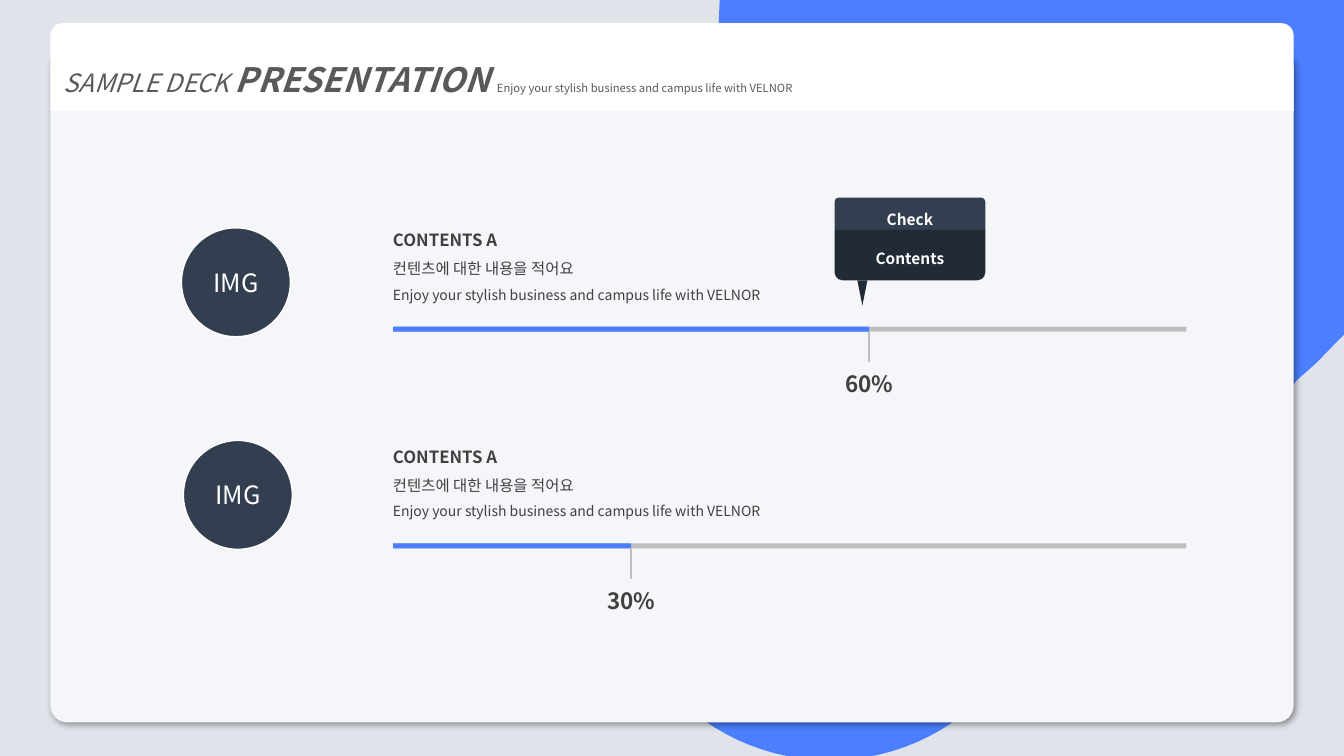
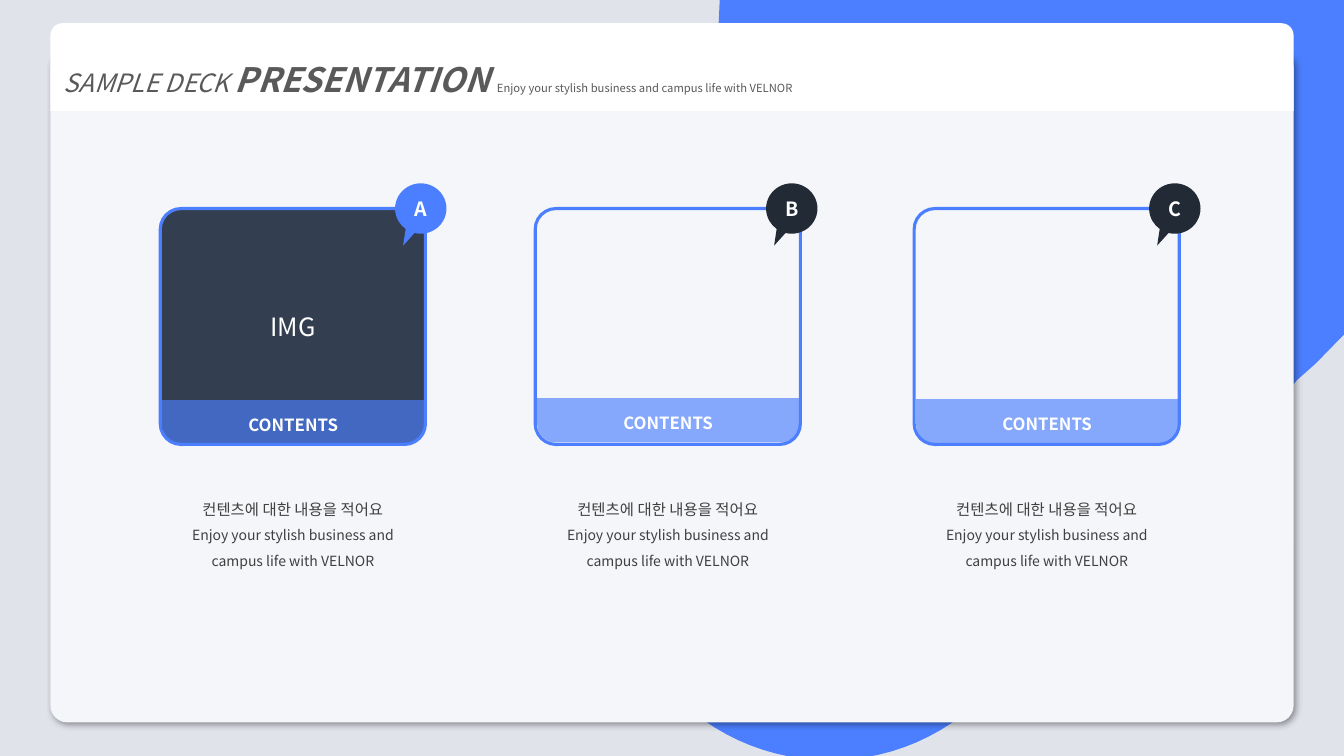
from lxml import etree
from pptx import Presentation
from pptx.dml.color import RGBColor
from pptx.enum import shapes, text
from pptx.oxml.ns import qn
from pptx.util import Pt

FONT = "Noto Sans CJK KR"
NO_TABLE_STYLE = "{2D5ABB26-0587-4C30-8999-92F81FD0307C}"
SLOGAN = "Enjoy your stylish business and campus life with VELNOR"
DESCRIPTION = "컨텐츠에 대한 내용을 적어요"
KIND = shapes.MSO_SHAPE

COLOURS = {
    "background": "E1E3EB",
    "accent": "4B7FFF",
    "panel": "F5F6F9",
    "white": "FFFFFF",
    "title": "595959",
    "body": "404040",
    "track": "BFBFBF",
    "navy": "333F50",
    "ink": "222A35",
    "shadow": "000000",
}

# Text styles: colour name and font attributes
STYLES = {
    "title": ("title", {"size": Pt(18), "italic": True}),
    "title strong": ("title", {"size": Pt(24), "italic": True, "bold": True}),
    "title note": ("title", {"size": Pt(8)}),
    "heading": ("body", {"size": Pt(12), "bold": True}),
    "body": ("body", {"size": Pt(11)}),
    "small": ("body", {"size": Pt(10)}),
    "percent": ("body", {"size": Pt(16), "bold": True}),
    "image": ("white", {"size": Pt(18)}),
    "bubble": ("white", {"size": Pt(11), "bold": True}),
    "strip": ("white", {"size": Pt(12), "bold": True}),
    "badge": ("white", {"size": Pt(14), "bold": True}),
}

# Backdrop outline: a pair is a corner, three pairs are a cubic curve
BACKDROP = [
    (960, 0), (960, 239), (939.6, 259.9), (926.6, 271.4), (923, 275.8),
    ((920.2, 280.1), (916.6, 284), (912.2, 288)),
    (702.7, 497.5),
    ((645.8, 554.4), (555.8, 558), (494.6, 508.3)),
    (482.4, 497.5), (471.6, 486),
    ((421.9, 424.8), (425.5, 334.1), (482.4, 277.2)),
    (591.1, 169.2), (566.6, 144.7),
    ((531.4, 108.7), (513.4, 61.9), (513.4, 15.8)),
    (514.1, 0),
]


def rgb(colour):
    """Return the named colour."""
    return RGBColor.from_string(COLOURS[colour])


def points(box):
    """Turn a box given in points into lengths."""
    return [Pt(value) for value in box]


def child(parent, tag, **attributes):
    """Append an XML element and return it."""
    return etree.SubElement(parent, qn(tag), attributes)


def paint(shape, fill=None, line=None, width=1, alpha=None):
    """Set the fill and line of a shape and remove its shadow."""
    shape.shadow.inherit = False
    if fill:
        shape.fill.solid()
        shape.fill.fore_color.rgb = rgb(fill)
    else:
        shape.fill.background()
    if alpha:
        solid = shape._element.spPr.find(qn("a:solidFill"))
        child(solid[0], "a:alpha", val=str(alpha * 1000))
    if line:
        shape.line.color.rgb = rgb(line)
        shape.line.width = Pt(width)
    else:
        shape.line.fill.background()


def write(frame, paragraphs, align="CENTER", spacing=None):
    """Write paragraphs, each a list of (text, style) runs."""
    frame.word_wrap = True
    for index, runs in enumerate(paragraphs):
        paragraph = frame.add_paragraph() if index else frame.paragraphs[0]
        paragraph.alignment = getattr(text.PP_ALIGN, align)
        paragraph.line_spacing = spacing
        for words, style in runs:
            run = paragraph.add_run()
            run.text = words
            colour, attributes = STYLES[style]
            run.font.name = FONT
            run.font.color.rgb = rgb(colour)
            for name, value in attributes.items():
                setattr(run.font, name, value)
            child(run._r.get_or_add_rPr(), "a:ea", typeface=FONT)


def add_block(canvas, kind, box, adjust=(), label=None, spacing=None, **look):
    """Add a preset shape with an optional centred (text, style) label."""
    shape = canvas.add_shape(kind, *points(box))
    for index, value in enumerate(adjust):
        shape.adjustments[index] = value
    paint(shape, **look)
    if label:
        shape.text_frame.vertical_anchor = text.MSO_ANCHOR.MIDDLE
        write(shape.text_frame, [[label]], spacing=spacing)
    return shape


def add_text(canvas, box, lines, align):
    """Add a text box with one (text, style) run per paragraph."""
    frame = canvas.add_textbox(*points(box)).text_frame
    write(frame, [[line] for line in lines], align, 1.5)
    frame.auto_size = text.MSO_AUTO_SIZE.SHAPE_TO_FIT_TEXT


def add_backdrop(canvas):
    """Draw the curved accent area behind the panel."""
    outline = []
    for step in BACKDROP:
        if len(step) == 2:
            outline.append(step)
            continue
        curve = (outline[-1], *step)
        for part in range(1, 25):
            t = part / 24
            weights = ((1 - t) ** 3, 3 * t * (1 - t) ** 2,
                       3 * t * t * (1 - t), t ** 3)
            outline.append(tuple(
                sum(weight * spot[axis] for weight, spot in zip(weights, curve))
                for axis in (0, 1)))
    corners = [points(spot) for spot in outline]
    builder = canvas.build_freeform(*corners[0], scale=1.0)
    builder.add_line_segments(corners[1:], close=True)
    paint(builder.convert_to_shape(), "accent")


def add_panel(canvas):
    """Add the shadowed panel and its title band."""
    panel = add_block(canvas, KIND.ROUNDED_RECTANGLE, (36, 36, 888, 480),
                      (0.025,), fill="panel")
    effects = panel._element.spPr.find(qn("a:effectLst"))
    shadow = child(effects, "a:outerShdw", blurRad=str(Pt(4)), dist=str(Pt(3)),
                   dir="2700000", algn="tl", rotWithShape="0")
    tone = child(shadow, "a:srgbClr", val=COLOURS["shadow"])
    child(tone, "a:alpha", val="40000")

    band = add_block(canvas, KIND.ROUND_2_SAME_RECTANGLE, (36, 16.6, 888, 62.6),
                     (0.137, 0), fill="white")
    band.text_frame.vertical_anchor = text.MSO_ANCHOR.MIDDLE
    write(band.text_frame, [[("SAMPLE DECK ", "title"),
                             ("PRESENTATION ", "title strong"),
                             (SLOGAN, "title note")]], "LEFT", 1.5)


def add_slide(presentation):
    """Add a blank slide with the shared frame and return its shapes."""
    slide = presentation.slides.add_slide(presentation.slide_layouts[6])
    slide.background.fill.solid()
    slide.background.fill.fore_color.rgb = rgb("background")
    add_backdrop(slide.shapes)
    add_panel(slide.shapes)
    return slide.shapes


def add_border(cell, side):
    """Draw one border of a table cell."""
    line = etree.Element(qn(side), w=str(Pt(1.5)))
    child(child(line, "a:solidFill"), "a:srgbClr", val=COLOURS["track"])
    cell._tc.get_or_add_tcPr().insert(0, line)


def add_marker(canvas, centre, top, percent):
    """Add a table with a tick line above a percentage."""
    width = 49
    table = canvas.add_table(
        2, 2, *points((centre - width / 2, top, width, 51.1))).table
    table._tbl.tblPr.find(qn("a:tableStyleId")).text = NO_TABLE_STYLE
    table.first_row = table.horz_banding = False
    for row, height in zip(table.rows, (21.6, 29.5)):
        row.height = Pt(height)
    for cell in table.iter_cells():
        cell.fill.background()
        cell.margin_left = cell.margin_right = 0
    for cell, side in zip(table.rows[0].cells, ("a:lnR", "a:lnL")):
        child(cell.text_frame.paragraphs[0]._p, "a:endParaRPr", sz="800")
        add_border(cell, side)
    result = table.cell(1, 0)
    result.merge(table.cell(1, 1))
    result.vertical_anchor = text.MSO_ANCHOR.MIDDLE
    write(result.text_frame, [[(f"{percent}%", "percent")]])


def add_progress(canvas, top, percent, image_left, image_top):
    """Add an image disc, a text and a progress bar with its marker."""
    left, width, height = 280.8, 566.6, 3.6
    done = width * percent / 100
    for length, colour in ((width, "track"), (done, "accent")):
        add_block(canvas, KIND.RECTANGLE, (left, top, length, height),
                  fill=colour)
    add_text(canvas, (left - 7.2, top - 79.9, 286.6, 67),
             [("CONTENTS A", "heading"), (DESCRIPTION, "body"),
              (SLOGAN, "small")], "LEFT")
    add_marker(canvas, left + done, top + height, percent)
    add_block(canvas, KIND.OVAL, (image_left, image_top, 77.8, 77.8),
              label=("IMG", "image"), fill="navy", line="white")


def add_bubble(canvas):
    """Add the grouped two-part speech bubble."""
    group = canvas.add_group_shape().shapes
    left, width = 596.2, 107.6
    parts = (("Check", 141.1, 23.1, (0.137, 0), "navy"),
             ("Contents", 164.2, 36, (0, 0.155), "ink"))
    for words, top, height, adjust, colour in parts:
        add_block(group, KIND.ROUND_2_SAME_RECTANGLE, (left, top, width, height),
                  adjust, (words, "bubble"), 1.5, fill=colour)
    tail = add_block(group, KIND.ISOSCELES_TRIANGLE, (612.4, 200.2, 7.2, 18),
                     fill="ink")
    tail.rotation = 180


def add_card(canvas, left, strip_top, badge_left, letter, badge, fill, label):
    """Add a framed card with a strip, a lettered badge and a text."""
    width = 189.4
    add_block(canvas, KIND.ROUNDED_RECTANGLE, (left, 149, width, 168.5),
              (0.088,), label, fill=fill, line="accent", width=2.25)
    add_block(canvas, KIND.ROUND_2_SAME_RECTANGLE,
              (left + 1.4, strip_top, 187.2, 31.7), (0, 0.419),
              ("CONTENTS", "strip"), 1.5, fill="accent", alpha=65)
    add_text(canvas, (left, 347, width, 63.4),
             [(DESCRIPTION, "body"), (SLOGAN, "small")], "CENTER")
    add_block(canvas, KIND.OVAL_CALLOUT, (badge_left, 131, 36.7, 36),
              (-0.343, 0.736), (letter, "badge"), fill=badge)


def main():
    """Build both slides and save the presentation."""
    presentation = Presentation()
    presentation.slide_width, presentation.slide_height = Pt(960), Pt(540)

    canvas = add_slide(presentation)
    add_progress(canvas, 233.3, 60, 129.6, 162.7)
    add_progress(canvas, 388.1, 30, 131, 314.6)
    add_bubble(canvas)

    canvas = add_slide(presentation)
    cards = (
        (114.5, 285.8, 282.2, "A", "accent", "navy", ("IMG", "image")),
        (382.3, 284.4, 547.2, "B", "ink", None, None),
        (653, 285.1, 820.8, "C", "ink", None, None),
    )
    for card in cards:
        add_card(canvas, *card)

    presentation.save("out.pptx")


main()
